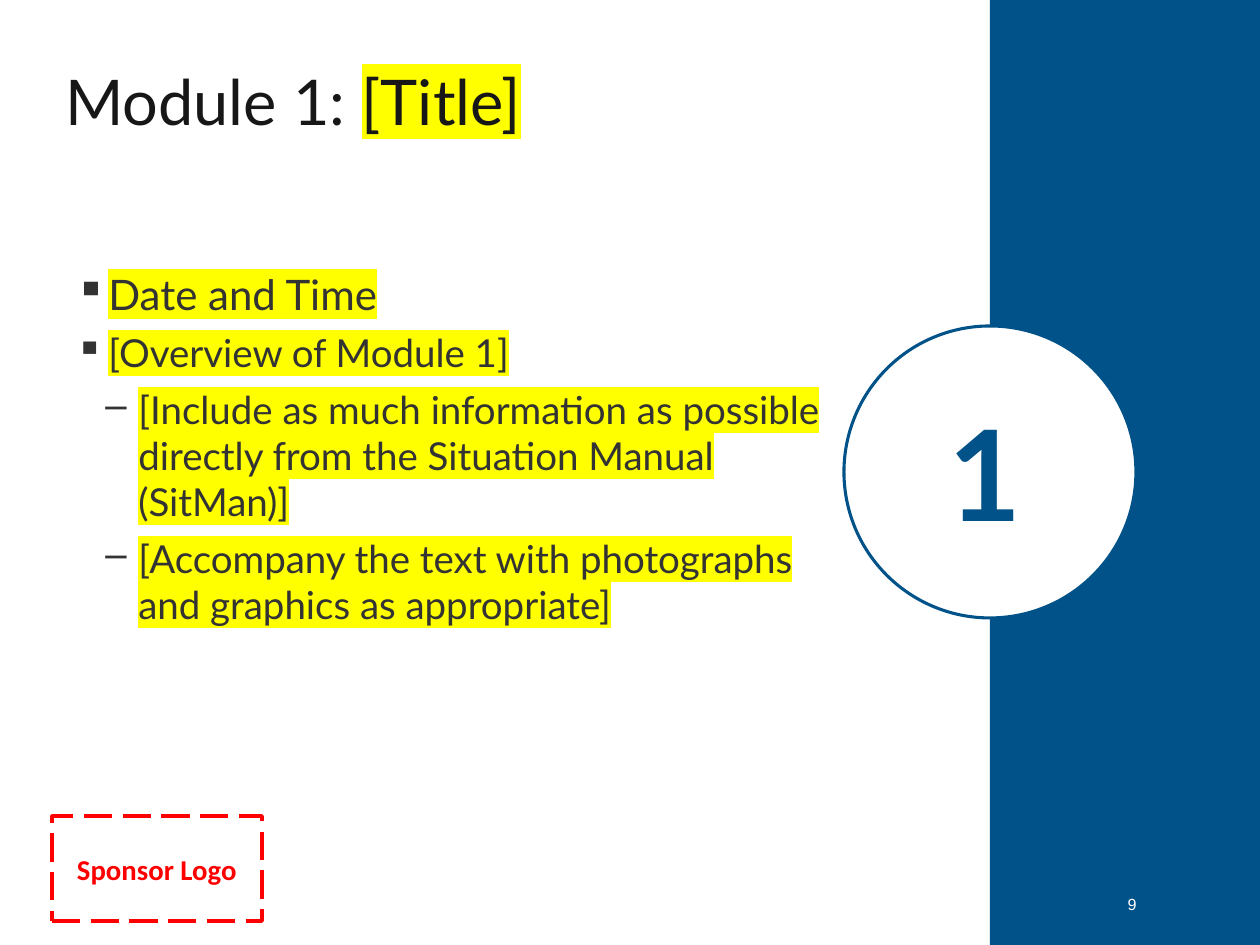
from dataclasses import dataclass

from lxml.etree import SubElement
from pptx import Presentation
from pptx.dml.color import RGBColor
from pptx.enum.dml import MSO_LINE_DASH_STYLE as Dash
from pptx.enum.shapes import MSO_SHAPE as Shape
from pptx.enum.text import MSO_ANCHOR as Anchor, PP_ALIGN as Align
from pptx.oxml import parse_xml
from pptx.oxml.ns import nsdecls, qn
from pptx.util import Pt

SCALE = 914400 / 126


def px(n):
    return round(n * SCALE)


@dataclass(frozen=True)
class Theme:
    blue: str = "005288"
    white: str = "FFFFFF"
    ink: str = "181717"
    grey: str = "333333"
    red: str = "FF0000"
    mark: str = "FFFF00"
    font: str = "Lato"
    title: float = 36
    lead: float = 24
    body: float = 22
    digit: float = 72
    logo: float = 16.4
    page: float = 9.2


def add_run(para, text, size, color, font="Lato", bold=False, mark=None):
    run = para.add_run()
    run.text = text
    style = run.font
    style.size, style.name, style.bold = Pt(size), font, bold
    style.color.rgb = RGBColor.from_string(color)
    if mark:
        light = parse_xml(f'<a:highlight {nsdecls("a")}><a:srgbClr val="{mark}"/></a:highlight>')
        run._r.rPr.find(qn("a:solidFill")).addnext(light)


class Deck:
    def __init__(self, theme, wide, high):
        self.theme = theme
        self.file = Presentation()
        self.file.slide_width, self.file.slide_height = px(wide), px(high)
        self.slide = self.file.slides.add_slide(self.file.slide_layouts[6])

    def paint(self, shape, fill=None, line=None, width=1):
        shape.shadow.inherit = False
        if fill:
            shape.fill.solid()
            shape.fill.fore_color.rgb = RGBColor.from_string(fill)
        else:
            shape.fill.background()
        if line:
            shape.line.color.rgb = RGBColor.from_string(line)
            shape.line.width = Pt(width)
        else:
            shape.line.fill.background()
        return shape

    def shape(self, kind, box, **look):
        return self.paint(self.slide.shapes.add_shape(kind, *map(px, box)), **look)

    def frame(self, box, **look):
        x, y, w, h = box
        pen = self.slide.shapes.build_freeform(x, y + h, scale=SCALE)
        pen.add_line_segments([(x + w, y + h), (x + w, y), (x, y)], close=True)
        shape = self.paint(pen.convert_to_shape(), **look)
        shape.line.dash_style = Dash.LONG_DASH

    def box(self, box, anchor=Anchor.TOP, inset=None):
        frame = self.slide.shapes.add_textbox(*map(px, box)).text_frame
        frame.word_wrap, frame.vertical_anchor = True, anchor
        if inset is not None:
            frame.margin_left = frame.margin_right = px(inset)
            frame.margin_top = frame.margin_bottom = px(inset)
        return frame

    def text(self, box, text, align=Align.LEFT, anchor=Anchor.TOP, inset=None, **style):
        para = self.box(box, anchor, inset).paragraphs[0]
        para.alignment = align
        add_run(para, text, **style)
        return para

    def bullets(self, box, items):
        frame = self.box(box, Anchor.MIDDLE)
        for i, (level, size, text) in enumerate(items):
            para = frame.add_paragraph() if i else frame.paragraphs[0]
            para.level = level
            para.space_before = Pt(6 if i else 0)
            props = para._p.get_or_add_pPr()
            props.set("marL", str(px((33, 63)[level])))
            props.set("indent", str(px(-33)))
            SubElement(props, qn("a:buChar"), char="▪–"[level])
            add_run(para, text, size, self.theme.grey, mark=self.theme.mark)


def main():
    theme = Theme()
    deck = Deck(theme, 1260, 945)

    # Sponsor mark
    deck.frame((52, 816, 210, 105), line=theme.red, width=2)
    deck.text((77, 852, 180, 35), "Sponsor Logo", inset=0, size=theme.logo,
              color=theme.red, font="Calibri", bold=True)

    # Title
    title = deck.text((53, 32, 976, 137), "Module 1: ", anchor=Anchor.MIDDLE,
                      size=theme.title, color=theme.ink)
    add_run(title, "[Title]", theme.title, theme.ink, mark=theme.mark)

    # Overview
    deck.bullets((63, 159, 770, 578), [
        (0, theme.lead, "Date and Time"),
        (0, theme.body, "[Overview of Module 1]"),
        (1, theme.body, "[Include as much information as possible directly "
                        "from the Situation Manual (SitMan)]"),
        (1, theme.body, "[Accompany the text with photographs and graphics as appropriate]"),
    ])

    # Side band and module number
    deck.shape(Shape.RECTANGLE, (990, 0, 270, 945), fill=theme.blue)
    deck.shape(Shape.OVAL, (844, 326, 292, 292), fill=theme.white,
               line=theme.blue, width=1.75)
    deck.text((936, 389, 106, 165), "1", size=theme.digit, color=theme.blue, bold=True)

    # Page number
    deck.text((1045, 885, 104, 38), "9", align=Align.RIGHT, anchor=Anchor.MIDDLE,
              size=theme.page, color=theme.white, font="Arial")

    deck.file.save("out.pptx")


if __name__ == "__main__":
    main()
